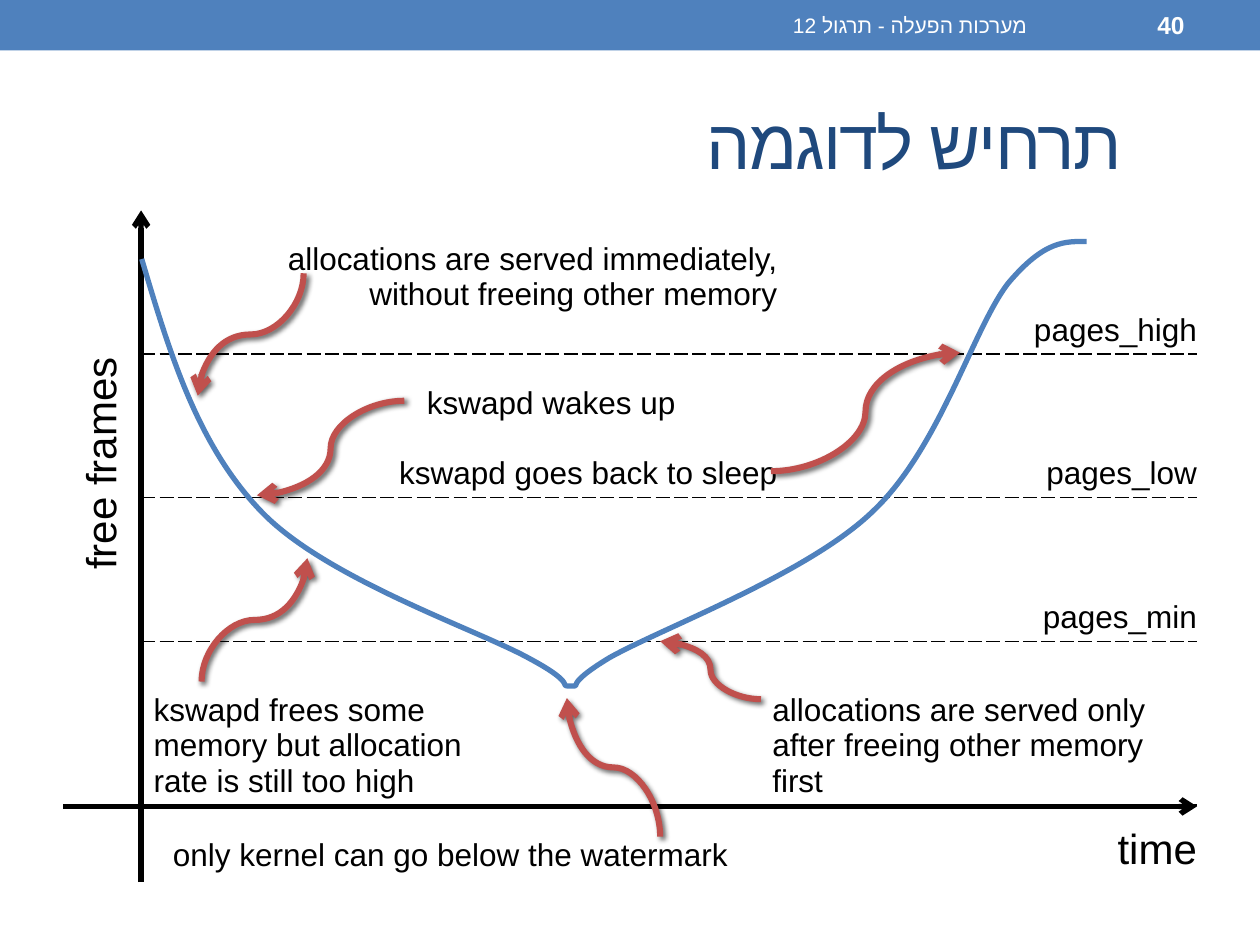
from lxml import etree
from pptx import Presentation
from pptx.dml.color import RGBColor
from pptx.enum.shapes import MSO_CONNECTOR as Connector, MSO_SHAPE as Shape
from pptx.enum.text import MSO_ANCHOR as Anchor, PP_ALIGN as Align
from pptx.oxml import parse_xml
from pptx.oxml.ns import nsdecls, qn
from pptx.util import Pt

color = RGBColor.from_string


def write(frame, text, size=18, font="Arial", fill="000000", bold=False,
          align=Align.LEFT, before=0, rtl=False, spacing=0):
    paragraph = frame.paragraphs[0] if not frame.text else frame.add_paragraph()
    paragraph.alignment = align
    if before:
        paragraph.space_before = Pt(before)
    run = paragraph.add_run()
    run.text = text
    run.font.size = Pt(size)
    run.font.name = font
    run.font.bold = bold
    run.font.color.rgb = color(fill)
    properties = run.font._element
    if spacing:
        properties.set("spc", str(spacing * 100))
    if rtl:
        paragraph._p.get_or_add_pPr().set("rtl", "1")
        etree.SubElement(properties, qn("a:cs"), typeface="Arial")


def add_arrow(kind, start, end, fill, width, effect=""):
    connector = slide.shapes.add_connector(kind, *map(Pt, start + end))
    connector.line.color.rgb = color(fill)
    connector.line.width = Pt(width)
    etree.SubElement(connector.line._get_or_add_ln(), qn("a:tailEnd"), type="arrow")
    connector._element.spPr.append(
        parse_xml(f'<a:effectLst {nsdecls("a")}>{effect}</a:effectLst>'))
    return connector


presentation = Presentation()
presentation.slide_width, presentation.slide_height = Pt(720), Pt(540)
slide = presentation.slides.add_slide(presentation.slide_layouts[6])

band = slide.shapes.add_shape(Shape.RECTANGLE, 0, 0, Pt(720), Pt(28.8))
band.shadow.inherit = False
band.fill.solid()
band.fill.fore_color.rgb = color("4F81BD")
band.line.fill.background()

headings = [
    ((270, 1.44, 324, 25.92), "מערכות הפעלה - תרגול 12", dict(size=12, fill="FFFFFF")),
    ((600, 1.44, 84, 25.92), "40", dict(size=14, fill="FFFFFF", bold=True)),
    ((0, 41.76, 648, 77.76), "תרחיש לדוגמה", dict(size=40, fill="1F497D", spacing=-1)),
]
for box, text, style in headings:
    frame = slide.shapes.add_textbox(*map(Pt, box)).text_frame
    frame.word_wrap = True
    frame.vertical_anchor = Anchor.MIDDLE
    write(frame, text, font="Noto Sans Mono", align=Align.RIGHT, rtl=True, **style)

column_widths = [97.92, 98.64, 156.96, 10.08, 131.04, 108.72]
row_heights = [82.08, 82.08, 82.08, 93.6, 42.48]
table = slide.shapes.add_table(5, 6, Pt(80.64), Pt(120.24),
                               Pt(sum(column_widths)), Pt(sum(row_heights))).table
table.first_row = table.horz_banding = False
for column, width in zip(table.columns, column_widths):
    column.width = Pt(width)
for row, height in zip(table.rows, row_heights):
    row.height = Pt(height)

dashed = '<a:solidFill><a:srgbClr val="000000"/></a:solidFill><a:prstDash val="dash"/>'
for row in range(5):
    for column in range(6):
        cell = table.cell(row, column)
        cell.vertical_anchor = Anchor.BOTTOM
        cell.margin_right = 0
        for side, visible in zip("LRTB", (False, False, row > 0, row < 4)):
            cell._tc.get_or_add_tcPr().append(parse_xml(
                f'<a:ln{side} {nsdecls("a")} w="12700">'
                f'{dashed if visible else "<a:noFill/>"}</a:ln{side}>'))
        cell.fill.background()

for row, first, last in [(0, 0, 3), (1, 1, 3), (2, 0, 1), (2, 2, 3),
                         (3, 0, 1), (3, 3, 5), (4, 0, 2), (4, 3, 5)]:
    table.cell(row, first).merge(table.cell(row, last))
table.cell(0, 0).margin_bottom = Pt(24)
table.cell(4, 0).margin_right = Pt(7.2)

right, center = dict(align=Align.RIGHT), dict(align=Align.CENTER)
labels = [
    (0, 0, "allocations are served immediately,", right),
    (0, 0, "without freeing other memory", right),
    (0, 5, "pages_high", right),
    (1, 1, "kswapd wakes up", center),
    (1, 1, "kswapd goes back to sleep", dict(align=Align.RIGHT, before=20)),
    (1, 5, "pages_low", right),
    (2, 5, "pages_min", right),
    (3, 0, "kswapd frees some memory but allocation rate is still too high", {}),
    (3, 3, "allocations are served only after freeing other memory first", {}),
    (4, 0, "only kernel can go below the watermark", center),
    (4, 3, "time", dict(align=Align.RIGHT, size=24)),
]
for row, column, text, style in labels:
    write(table.cell(row, column).text_frame, text, **style)

for start, end in [((36, 460.8), (684, 460.8)), ((80.64, 504), (80.64, 120.24))]:
    add_arrow(Connector.STRAIGHT, start, end, "000000", 3)

curve_points = [
    (81.4, 148.3), (97.2, 201.6), (113, 254.9), (150.5, 293),
    (187.2, 331.2), (272.9, 360), (302.4, 375.8),
    (331.9, 392.4), (318.2, 391.7), (326.2, 391.7),
    (334.1, 391.7), (319.7, 393.1), (348.5, 375.8),
    (378, 359.3), (461.5, 327.6), (499, 292.3),
    (537.1, 256.3), (555.8, 187.9), (576, 162),
    (596.9, 136.8), (609.1, 137.5), (621.4, 138.2),
]
builder = slide.shapes.build_freeform(*curve_points[0], scale=Pt(1))
builder.add_line_segments(curve_points[1:], close=False)
curve = builder.convert_to_shape()
curve.shadow.inherit = False
curve.fill.background()
curve.line.color.rgb = color("4F81BD")
curve.line.width = Pt(3)
outline = curve._element.find(".//" + qn("a:path"))
segments = outline.findall(qn("a:lnTo"))
for index in range(0, len(segments), 3):
    bezier = etree.SubElement(outline, qn("a:cubicBezTo"))
    for segment in segments[index:index + 3]:
        bezier.append(segment[0])
        outline.remove(segment)

shadow = ('<a:outerShdw blurRad="38100" dist="25400" dir="2700000">'
          '<a:srgbClr val="000000"><a:alpha val="60000"/></a:srgbClr></a:outerShdw>')
pointers = [
    ((173.5, 156.2), (113, 226.1), True),
    ((231.1, 229), (146.9, 283), False),
    ((115.2, 389.5), (175.7, 319), True),
    ((440.6, 269.3), (548.6, 201.6), False),
    ((377.3, 478.1), (324, 398.9), True),
    ((434.9, 399.6), (377.3, 366.5), False),
]
for start, end, vertical in pointers:
    if vertical:
        middle_x, middle_y = (start[0] + end[0]) / 2, (start[1] + end[1]) / 2
        start, end = [(middle_x + y - middle_y, middle_y - x + middle_x)
                      for x, y in (start, end)]
    pointer = add_arrow(Connector.CURVE, start, end, "C0504D", 3.5, shadow)
    if vertical:
        pointer._element.spPr.find(qn("a:xfrm")).set("rot", "5400000")

axis_title = slide.shapes.add_textbox(Pt(38.88), Pt(185.04), Pt(43.92), Pt(159.84))
frame = axis_title.text_frame
frame.word_wrap = True
frame._txBody.bodyPr.set("vert", "vert270")
write(frame, "free frames", size=24, align=Align.CENTER, rtl=True)

presentation.save("out.pptx")
